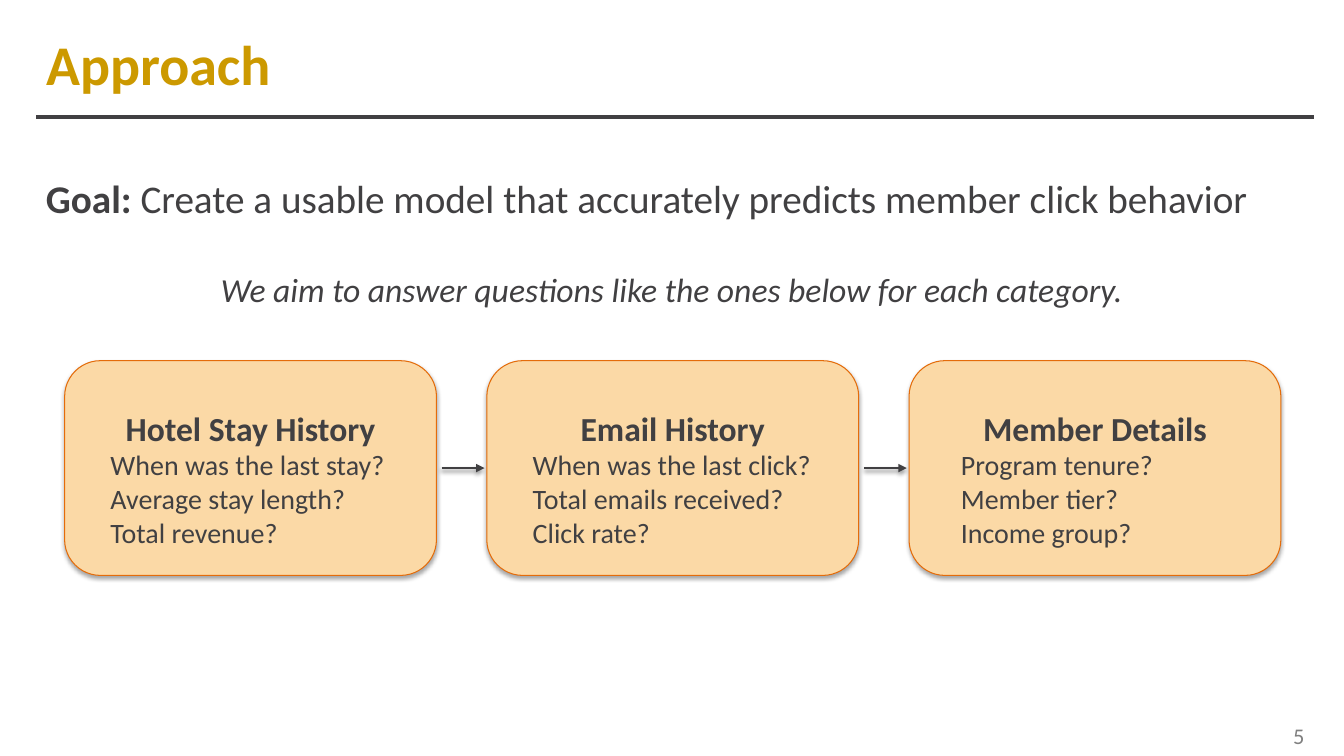
import dataclasses

import lxml.etree
import pptx
import pptx.dml.color
import pptx.enum.shapes
import pptx.enum.text
import pptx.oxml.ns
import pptx.util

Cm = pptx.util.Cm
Pt = pptx.util.Pt
Align = pptx.enum.text.PP_ALIGN
Anchor = pptx.enum.text.MSO_ANCHOR
qn = pptx.oxml.ns.qn


@dataclasses.dataclass(frozen=True)
class Theme:
    font: str = "Calibri"
    gold: str = "CC9900"
    ink: str = "414042"
    gray: str = "808080"
    card: str = "FBD9A6"
    border: str = "E46C0A"
    title: int = 40
    goal: int = 28
    heading: int = 24
    body: int = 20
    number: int = 16


theme = Theme()


def style(paragraph, size, color, alignment=Align.LEFT):
    paragraph.alignment = alignment
    paragraph.font.name = theme.font
    paragraph.font.size = Pt(size)
    paragraph.font.color.rgb = pptx.dml.color.RGBColor.from_string(color)


def draw_line(shape, color, width, shadow_alpha=None):
    shape.line.color.rgb = pptx.dml.color.RGBColor.from_string(color)
    shape.line.width = Pt(width)
    effects = lxml.etree.SubElement(shape._element.spPr, qn("a:effectLst"))
    if shadow_alpha:
        shadow = lxml.etree.SubElement(
            effects, qn("a:outerShdw"), blurRad=str(Pt(3.1)), dist=str(Pt(1.8)),
            dir="5400000", rotWithShape="0")
        black = lxml.etree.SubElement(shadow, qn("a:srgbClr"), val="000000")
        lxml.etree.SubElement(black, qn("a:alpha"), val=str(shadow_alpha * 1000))


presentation = pptx.Presentation()
presentation.slide_width = Cm(33.87)
presentation.slide_height = Cm(19.05)
slide = presentation.slides.add_slide(presentation.slide_layouts[5])
shapes = slide.shapes
straight = pptx.enum.shapes.MSO_CONNECTOR.STRAIGHT

rule = shapes.add_connector(straight, Cm(0.91), Cm(2.95), Cm(33.12), Cm(2.95))
draw_line(rule, theme.ink, 3)

title = shapes.title
title.left, title.top, title.width, title.height = Cm(0.91), Cm(0.56), Cm(28.75), Cm(2.08)
title.text_frame.text = "Approach"
title.text_frame.vertical_anchor = Anchor.MIDDLE
title.text_frame.auto_size = pptx.enum.text.MSO_AUTO_SIZE.NONE
style(title.text_frame.paragraphs[0], theme.title, theme.gold)
title.text_frame.paragraphs[0].font.bold = True

goal = shapes.add_textbox(Cm(0.91), Cm(4.27), Cm(31.8), Cm(1.45))
goal.text_frame.word_wrap = True
paragraph = goal.text_frame.paragraphs[0]
label = paragraph.add_run()
label.text = "Goal: "
label.font.bold = True
paragraph.add_run().text = "Create a usable model that accurately predicts member click behavior"
style(paragraph, theme.goal, theme.ink)

cards = [
    ("Hotel Stay History", 0.64,
     ["When was the last stay?", "Average stay length?", "Total revenue?"]),
    ("Email History", 0.64,
     ["When was the last click?", "Total emails received?", "Click rate?"]),
    ("Member Details", 0.79,
     ["Program tenure?", "Member tier?", "Income group?"]),
]
card_left, card_top, card_width, card_height = 1.63, 9.09, 9.37, 5.41
card_pitch = 10.64
arrow_y = card_top + card_height / 2

for index, (heading, indent, questions) in enumerate(cards):
    left = card_left + index * card_pitch
    card = shapes.add_shape(
        pptx.enum.shapes.MSO_SHAPE.ROUNDED_RECTANGLE,
        Cm(left), Cm(card_top), Cm(card_width), Cm(card_height))
    card.fill.solid()
    card.fill.fore_color.rgb = pptx.dml.color.RGBColor.from_string(theme.card)
    draw_line(card, theme.border, 0.75, shadow_alpha=35)
    frame = card.text_frame
    frame.word_wrap = True
    frame.vertical_anchor = Anchor.MIDDLE
    frame.text = "\n".join([heading, *questions])
    style(frame.paragraphs[0], theme.heading, theme.ink, Align.CENTER)
    frame.paragraphs[0].font.bold = True
    frame.paragraphs[0].line_spacing = 1.5
    for paragraph in frame.paragraphs[1:]:
        paragraph._p.get_or_add_pPr().set("marL", str(Cm(indent)))
        style(paragraph, theme.body, theme.ink)

    if index < len(cards) - 1:
        arrow = shapes.add_connector(
            straight, Cm(left + card_width + 0.13), Cm(arrow_y),
            Cm(left + card_pitch - 0.06), Cm(arrow_y))
        draw_line(arrow, theme.ink, 2, shadow_alpha=38)
        lxml.etree.SubElement(arrow.line._get_or_add_ln(), qn("a:tailEnd"), type="triangle")

aim = shapes.add_textbox(Cm(5.18), Cm(6.65), Cm(23.5), Cm(1.27))
aim.text_frame.word_wrap = False
aim.text_frame.text = "We aim to answer questions like the ones below for each category."
style(aim.text_frame.paragraphs[0], theme.heading, theme.ink, Align.CENTER)
aim.text_frame.paragraphs[0].font.italic = True

number = shapes.add_textbox(Cm(24.28), Cm(18.03), Cm(8.84), Cm(1.02))
number.text_frame.word_wrap = True
number.text_frame.vertical_anchor = Anchor.MIDDLE
number.text_frame.text = "5"
style(number.text_frame.paragraphs[0], theme.number, theme.gray, Align.RIGHT)

presentation.save("out.pptx")
